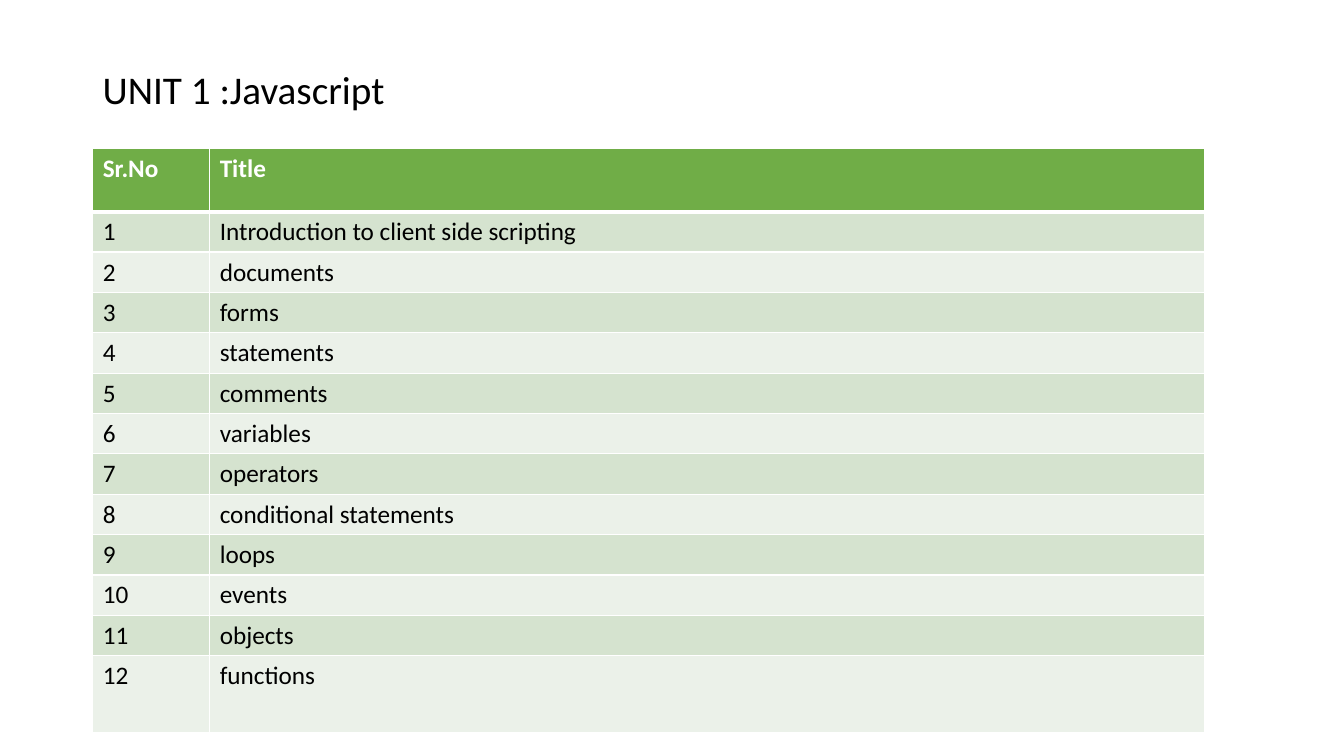
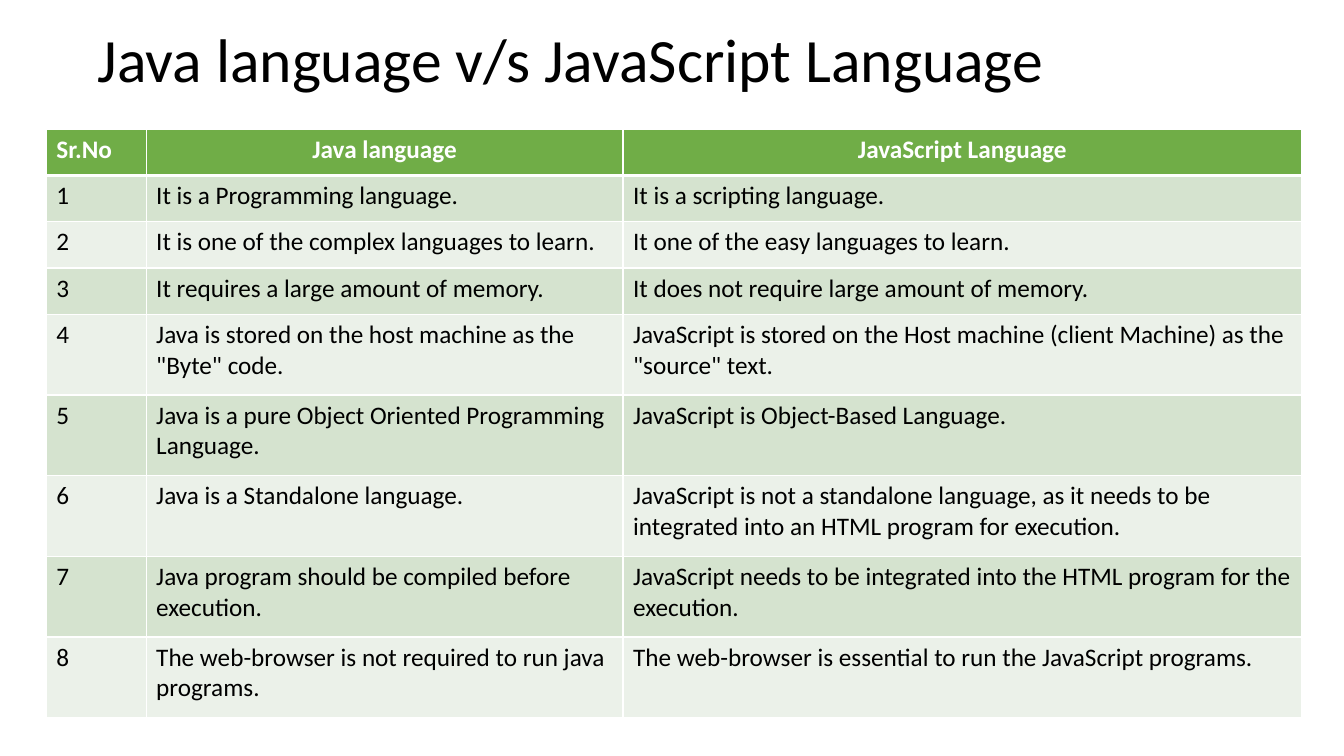
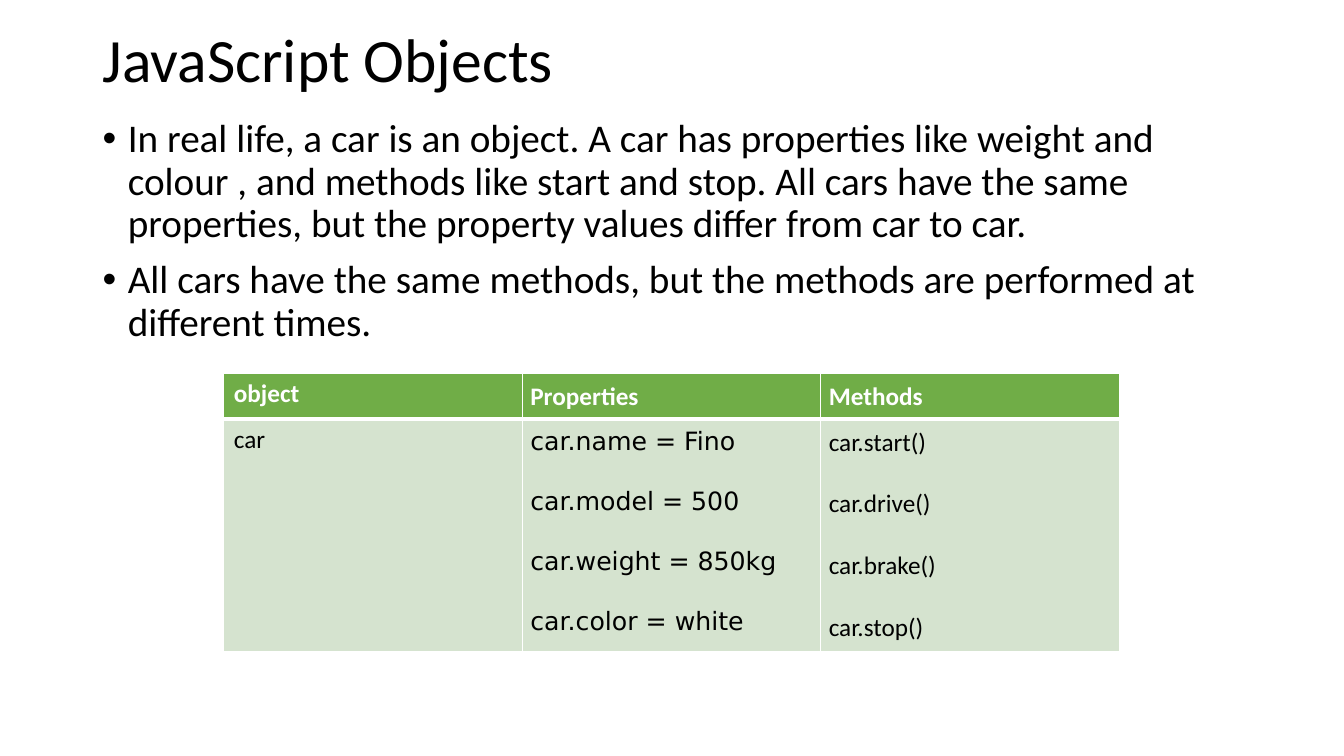
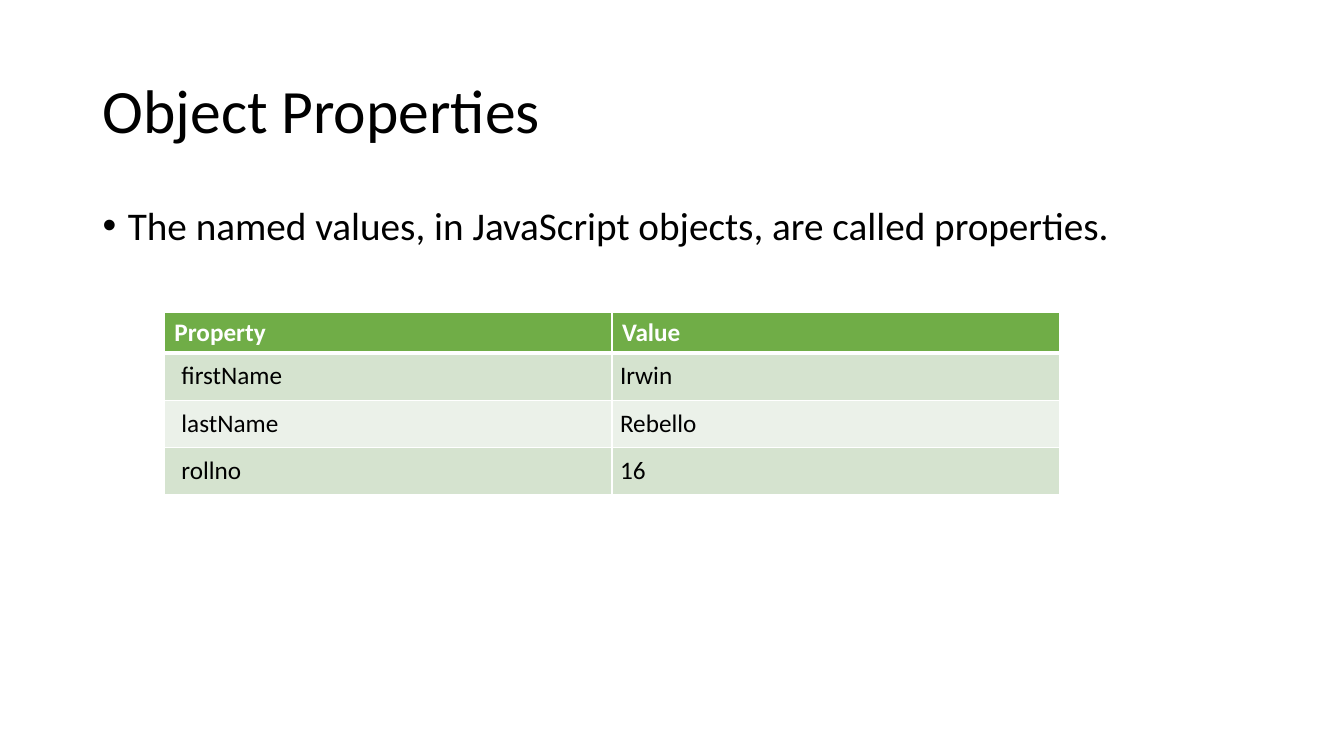
import dataclasses

import lxml.etree
import pptx
import pptx.dml.color
import pptx.enum.text
import pptx.oxml.ns
import pptx.util

PX = 9144
FONT = "Calibri"
COLORS = {
    "text": "000000",
    "white": "FFFFFF",
    "header": "70AD47",
    "odd": "D5E3CF",
    "even": "EBF1E9",
}
THIN, THICK = 1, 3
LEFT = pptx.enum.text.PP_ALIGN.LEFT
CENTER = pptx.enum.text.PP_ALIGN.CENTER
EVEN_INSET = (8, 8, 8, 8)
INDENTED = (17, 8, 8, 8)


@dataclasses.dataclass
class Entry:
    lines: tuple
    inset: tuple = (10, 5, 10, 5)
    align: int = LEFT
    font: str = FONT


def px(length):
    return pptx.util.Emu(length * PX)


def rgb(name):
    return pptx.dml.color.RGBColor.from_string(COLORS[name])


def add_run(paragraph, text, size, color="text", bold=False, font=FONT):
    run = paragraph.add_run()
    run.text = text
    run.font.name = font
    run.font.size = pptx.util.Pt(size)
    run.font.bold = bold
    run.font.color.rgb = rgb(color)


def add_frame(slide, box):
    frame = slide.shapes.add_textbox(*map(px, box)).text_frame
    frame.word_wrap = True
    return frame


def add_title(slide, box, text, size=44, bottom=5):
    frame = add_frame(slide, box)
    frame.vertical_anchor = pptx.enum.text.MSO_ANCHOR.MIDDLE
    frame.margin_bottom = px(bottom)
    heading = frame.paragraphs[0]
    heading.line_spacing = 0.9
    add_run(heading, text, size)


def add_bullets(slide, box, points):
    frame = add_frame(slide, box)
    for index, point in enumerate(points):
        paragraph = frame.add_paragraph() if index else frame.paragraphs[0]
        paragraph.line_spacing = 0.9
        paragraph.space_before = pptx.util.Pt(10)
        properties = paragraph._p.get_or_add_pPr()
        properties.set("marL", str(px(25)))
        properties.set("indent", str(px(-25)))
        for tag, key, value in (("a:buFont", "typeface", "Arial"), ("a:buChar", "char", "•")):
            mark = lxml.etree.SubElement(properties, pptx.oxml.ns.qn(tag))
            mark.set(key, value)
        add_run(paragraph, point, 28)


def add_borders(cell, row):
    widths = {
        "L": THIN,
        "R": THIN,
        "T": THICK if row == 1 else THIN,
        "B": THICK if row == 0 else THIN,
    }
    properties = cell._tc.get_or_add_tcPr()
    for side, width in widths.items():
        line = lxml.etree.SubElement(properties, pptx.oxml.ns.qn("a:ln" + side))
        line.set("w", str(pptx.util.Pt(width)))
        fill = lxml.etree.SubElement(line, pptx.oxml.ns.qn("a:solidFill"))
        color = lxml.etree.SubElement(fill, pptx.oxml.ns.qn("a:srgbClr"))
        color.set("val", COLORS["white"])


def fill_cell(cell, entry, row):
    if isinstance(entry, str):
        entry = Entry((entry,))
    is_header = row == 0
    add_borders(cell, row)
    cell.fill.solid()
    cell.fill.fore_color.rgb = rgb("header" if is_header else "odd" if row % 2 else "even")
    cell.margin_left, cell.margin_top, cell.margin_right, cell.margin_bottom = map(px, entry.inset)
    for index, line in enumerate(entry.lines):
        frame = cell.text_frame
        paragraph = frame.add_paragraph() if index else frame.paragraphs[0]
        paragraph.alignment = entry.align
        if index:
            paragraph.space_before = pptx.util.Pt(22)
        add_run(paragraph, line, 18, "white" if is_header else "text", is_header, entry.font)


def add_grid(slide, left, top, widths, heights, rows):
    box = (left, top, sum(widths), sum(heights))
    table = slide.shapes.add_table(len(rows), len(widths), *map(px, box)).table
    for column, width in zip(table.columns, widths):
        column.width = px(width)
    for band, height in zip(table.rows, heights):
        band.height = px(height)
    for row, entries in enumerate(rows):
        for column, entry in enumerate(entries):
            fill_cell(table.cell(row, column), entry, row)


def build_unit(slide):
    topics = (
        "Introduction to client side scripting", "documents", "forms", "statements",
        "comments", "variables", "operators", "conditional statements", "loops",
        "events", "objects", "functions",
    )
    rows = [("Sr.No", "Title")]
    rows += [(str(number), topic) for number, topic in enumerate(topics, 1)]
    add_title(slide, (92, 40, 1150, 145), "UNIT 1 :Javascript", 28, 48)
    add_grid(slide, 92, 147, (116, 987), [63] + [39] * 11 + [76], rows)


def build_comparison(slide):
    differences = (
        ("It is a Programming language.", "It is a scripting language."),
        ("It is one of the complex languages to learn.",
         "It one of the easy languages to learn."),
        ("It requires a large amount of memory.",
         "It does not require large amount of memory."),
        ('Java is stored on the host machine as the "Byte" code.',
         'JavaScript is stored on the Host machine (client Machine) as the "source" text.'),
        ("Java is a pure Object Oriented Programming Language.",
         "JavaScript is Object-Based Language."),
        ("Java is a Standalone language.",
         "JavaScript is not a standalone language, as it needs to be integrated into an "
         "HTML program for execution."),
        ("Java program should be compiled before execution.",
         "JavaScript needs to be integrated into the HTML program for the execution."),
        ("The web-browser is not required to run java programs.",
         "The web-browser is essential to run the JavaScript programs."),
    )
    languages = [Entry((name,), align=CENTER) for name in ("Java language", "JavaScript Language")]
    rows = [("Sr.No", *languages)]
    rows += [(str(number), *pair) for number, pair in enumerate(differences, 1)]
    add_title(slide, (87, 23, 1150, 78), "Java language v/s JavaScript Language")
    add_grid(slide, 46, 128, (99, 473, 673), [46] * 4 + [80] * 5, rows)


def build_objects(slide):
    properties = ("car.name = Fino", "car.model = 500", "car.weight = 850kg", "car.color = white")
    methods = ("car.start()", "car.drive()", "car.brake()", "car.stop()")
    add_title(slide, (92, 23, 1150, 79), "JavaScript Objects")
    add_bullets(slide, (92, 113, 1150, 563), (
        "In real life, a car is an object. A car has properties like weight and colour , "
        "and methods like start and stop. All cars have the same properties, "
        "but the property values differ from car to car.",
        "All cars have the same methods, but the methods are performed at different times.",
    ))
    add_grid(slide, 222, 370, [296] * 3, (46, 230), (
        ("object", Entry(("Properties",), EVEN_INSET), Entry(("Methods",), EVEN_INSET)),
        ("car", Entry(properties, EVEN_INSET, font="DejaVu Sans"), Entry(methods, EVEN_INSET)),
    ))


def build_properties(slide):
    student = (("firstName", "Irwin"), ("lastName", "Rebello"), ("rollno", "16"))
    rows = [("Property", "Value")]
    rows += [(Entry((key,), INDENTED), Entry((value,), EVEN_INSET)) for key, value in student]
    add_title(slide, (92, 40, 1150, 145), "Object Properties")
    add_bullets(slide, (92, 200, 1150, 476), (
        "The named values, in JavaScript objects, are called properties.",
    ))
    add_grid(slide, 163, 310, [444] * 2, [40] + [47] * 3, rows)


def main():
    deck = pptx.Presentation()
    deck.slide_width, deck.slide_height = px(1333), px(750)
    for build in (build_unit, build_comparison, build_objects, build_properties):
        build(deck.slides.add_slide(deck.slide_layouts[6]))
    deck.save("out.pptx")


if __name__ == "__main__":
    main()
